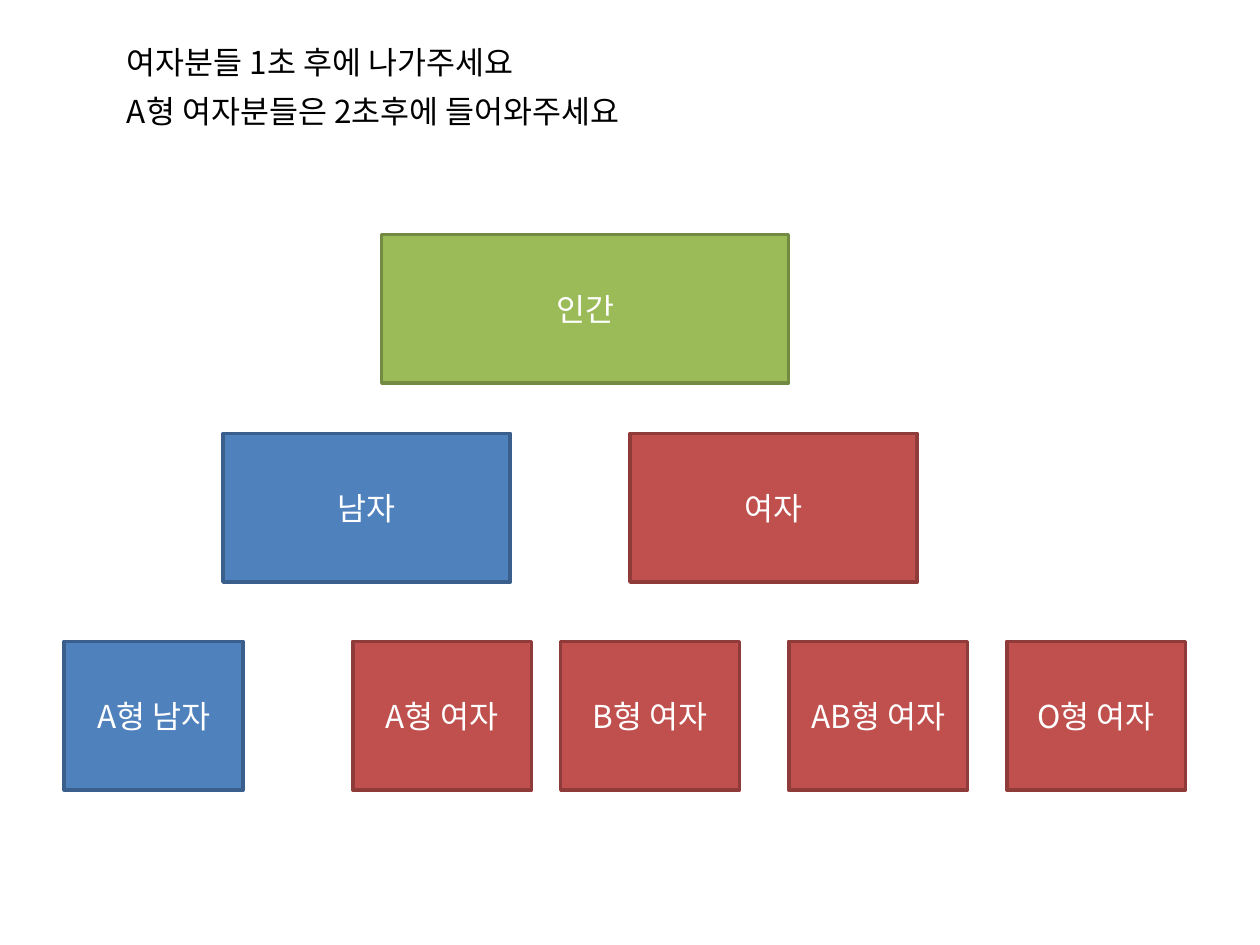
from lxml import etree
from pptx import Presentation
from pptx.dml.color import RGBColor
from pptx.enum.shapes import MSO_SHAPE
from pptx.enum.text import MSO_ANCHOR, MSO_AUTO_SIZE, PP_ALIGN
from pptx.oxml.ns import qn
from pptx.util import Inches, Pt

RECT = MSO_SHAPE.RECTANGLE
MIDDLE = MSO_ANCHOR.MIDDLE
GROW = MSO_AUTO_SIZE.SHAPE_TO_FIT_TEXT
LEFT, CENTER = PP_ALIGN.LEFT, PP_ALIGN.CENTER

FONT = "Noto Sans CJK KR"
BLACK = RGBColor(0x00, 0x00, 0x00)
WHITE = RGBColor(0xFF, 0xFF, 0xFF)
# Fill and outline of each group
GREEN = RGBColor(0x9B, 0xBB, 0x59), RGBColor(0x73, 0x8A, 0x42)
BLUE = RGBColor(0x4F, 0x81, 0xBD), RGBColor(0x3A, 0x5F, 0x8C)
RED = RGBColor(0xC0, 0x50, 0x4D), RGBColor(0x8E, 0x3B, 0x39)

BOX_HEIGHT = 1.18
# Each level: top, box width, boxes as (left, text, colours)
LEVELS = [
    (1.86, 3.23, [(3.03, "인간", GREEN)]),
    (3.44, 2.28, [(1.77, "남자", BLUE), (5, "여자", RED)]),
    (5.09, 1.42, [
        (0.51, "A형 남자", BLUE),
        (2.8, "A형 여자", RED),
        (4.45, "B형 여자", RED),
        (6.26, "AB형 여자", RED),
        (7.99, "O형 여자", RED),
    ]),
]
# Instructions: top, width, text
INSTRUCTIONS = [
    (0.29, 3.94, "여자분들 1초 후에 나가주세요"),
    (0.68, 5.2, "A형 여자분들은 2초후에 들어와주세요"),
]


def set_text(tf, text, color, align):
    p = tf.paragraphs[0]
    p.text = text
    p.alignment = align
    p.font.size = Pt(18)
    p.font.color.rgb = color
    p.font.name = FONT
    # Korean glyphs take the East Asian typeface
    def_rpr = p._p.pPr.find(qn("a:defRPr"))
    etree.SubElement(def_rpr, qn("a:ea"), typeface=FONT)


def add_box(s, left, top, width, text, colors):
    sp = s.shapes.add_shape(RECT, Inches(left), Inches(top),
                            Inches(width), Inches(BOX_HEIGHT))
    fill, line = colors
    sp.shadow.inherit = False
    sp.fill.solid()
    sp.fill.fore_color.rgb = fill
    sp.line.color.rgb = line
    sp.line.width = Pt(2)
    sp.text_frame.vertical_anchor = MIDDLE
    set_text(sp.text_frame, text, WHITE, CENTER)


def add_instruction(s, top, width, text):
    sp = s.shapes.add_textbox(Inches(0.91), Inches(top),
                              Inches(width), Inches(0.4))
    tf = sp.text_frame
    tf.word_wrap = True
    tf.auto_size = GROW
    set_text(tf, text, BLACK, LEFT)


def main():
    prs = Presentation()
    prs.slide_width, prs.slide_height = Inches(10), Inches(7.5)
    s = prs.slides.add_slide(prs.slide_layouts[6])

    # Class tree
    for top, width, boxes in LEVELS:
        for left, text, colors in boxes:
            add_box(s, left, top, width, text, colors)

    # Instructions above the tree
    for top, width, text in INSTRUCTIONS:
        add_instruction(s, top, width, text)

    prs.save("out.pptx")


main()
